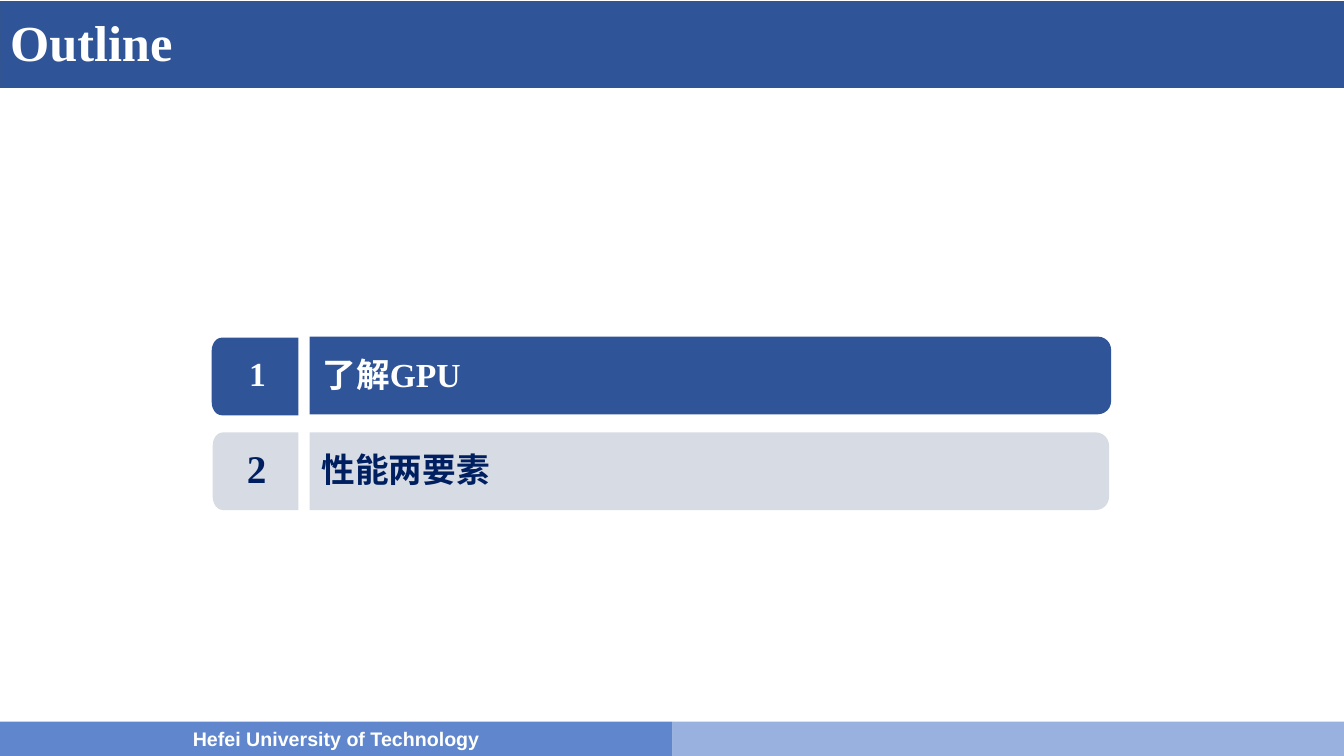
"""Build the outline slide with a title bar, two agenda rows and a footer."""
import math
from pptx import Presentation, util as u
from pptx.dml.color import RGBColor
from pptx.enum import shapes, text


def paint(shape, color):
    shape.shadow.inherit = False
    shape.fill.solid()
    shape.fill.fore_color.rgb = RGBColor.from_string(color)
    shape.line.fill.background()


def write(shape, words, size, color, font="Times New Roman", align=text.PP_ALIGN.LEFT):
    frame = shape.text_frame
    frame.word_wrap = True
    frame.vertical_anchor = text.MSO_ANCHOR.MIDDLE
    paragraph = frame.paragraphs[0]
    paragraph.alignment = align
    run = paragraph.add_run()
    run.text = words
    run.font.name = font
    run.font.size = u.Pt(size)
    run.font.bold = True
    run.font.color.rgb = RGBColor.from_string(color)


presentation = Presentation()
presentation.slide_width = u.Inches(13.33)
presentation.slide_height = u.Inches(7.5)
slide = presentation.slides.add_slide(presentation.slide_layouts[5])

bars = []
for left, top, width, height, color in [
    (0, 0.02, 13.33, 0.85, "2F5497"),
    (6.67, 7.16, 6.66, 0.34, "99B1DF"),
    (0, 7.16, 6.67, 0.34, "6087CD"),
]:
    bar = slide.shapes.add_shape(
        shapes.MSO_SHAPE.RECTANGLE,
        u.Inches(left), u.Inches(top), u.Inches(width), u.Inches(height))
    paint(bar, color)
    bars.append(bar)
title_bar, _, footer = bars
title_bar.line.color.rgb = RGBColor.from_string("325491")
title_bar.line.width = u.Pt(1)
write(footer, "Hefei University of Technology", 14, "FFFFFF", "Arial", text.PP_ALIGN.CENTER)

title = slide.shapes.title
title.left, title.top = u.Inches(0), u.Inches(0.02)
title.width, title.height = u.Inches(12.91), u.Inches(0.85)
write(title, "Outline", 36, "FFFFFF")
title.text_frame.paragraphs[0].line_spacing = 0.9
footer.element.addnext(title.element)

tab_height = 0.77
corner_height = 0.13
rows = [
    ("1", 24, 2.47, 3.48, "了解GPU", 3.2, 3.49, 3.35, 3.34, 2.1, 11.02, "2F5497", "FFFFFF"),
    ("2", 28, 2.45, 4.42, "性能两要素", 3.19, 4.43, 4.29, 4.29, 2.11, 11, "D6DBE4", "001F60"),
]
for (number, number_size, number_left, number_top, topic, topic_left, topic_top,
     number_tab_top, topic_tab_top, left_end, right_end, fill, ink) in rows:
    for square_edge, round_edge, top, corner_width in [
        (2.96, left_end, number_tab_top, -0.1),
        (3.07, right_end, topic_tab_top, 0.13),
    ]:
        center = round_edge - corner_width
        bottom = top + tab_height
        points = [(square_edge, bottom), (square_edge, top)]
        for middle, start in [(top + corner_height, -90), (bottom - corner_height, 0)]:
            for step in range(7):
                angle = math.radians(start + 15 * step)
                points.append((center + corner_width * math.cos(angle),
                               middle + corner_height * math.sin(angle)))
        points = [(u.Inches(x), u.Inches(y)) for x, y in points]
        builder = slide.shapes.build_freeform(*points[0])
        builder.add_line_segments(points[1:], close=True)
        paint(builder.convert_to_shape(), fill)

    for words, size, left, top, width in [
        (number, number_size, number_left, number_top, 0.2),
        (topic, 24, topic_left, topic_top, 7.8),
    ]:
        box = slide.shapes.add_textbox(
            u.Inches(left), u.Inches(top), u.Inches(width), u.Inches(0.42))
        frame = box.text_frame
        frame.margin_left = frame.margin_right = frame.margin_bottom = 0
        frame.margin_top = u.Inches(0.02)
        write(box, words, size, ink)

presentation.save("out.pptx")
